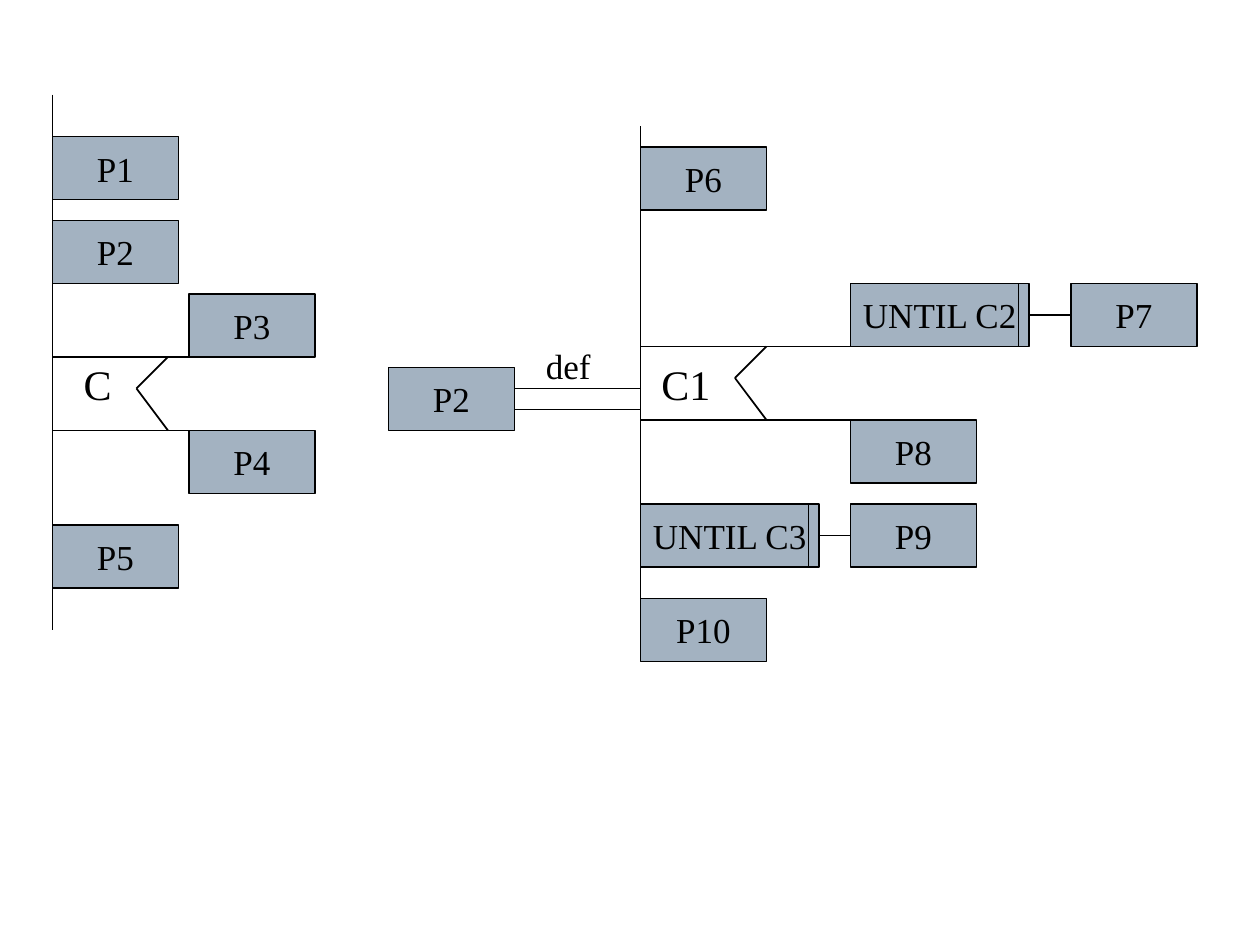
from lxml import etree
from pptx import Presentation
from pptx import util as u
from pptx.dml.color import RGBColor
from pptx.enum import shapes, text
from pptx.oxml import ns

BLACK = RGBColor(0x00, 0x00, 0x00)
STEEL = RGBColor(0xA3, 0xB2, 0xC1)

presentation = Presentation()
presentation.slide_width = u.Inches(10)
presentation.slide_height = u.Inches(7.5)
slide = presentation.slides.add_slide(presentation.slide_layouts[6])

# Square grid of 120 columns by 90 rows
CELL = presentation.slide_width / 120
BOX_WIDTH, UNTIL_WIDTH, BOX_HEIGHT = 12, 17, 6
LEFT_TRUNK, RIGHT_TRUNK = 5, 61
LEFT_BRANCH, RIGHT_BRANCH = 18, 81


def write(shape, words, size=20, align=text.PP_ALIGN.CENTER,
          anchor=text.MSO_ANCHOR.MIDDLE):
    frame = shape.text_frame
    frame.word_wrap = False
    frame.vertical_anchor = anchor
    paragraph = frame.paragraphs[0]
    paragraph.alignment = align
    run = paragraph.add_run()
    run.text = words
    run.font.name = "Times New Roman"
    run.font.size = u.Pt(size)
    run.font.color.rgb = BLACK


def draw_line(*ends):
    line = slide.shapes.add_connector(
        shapes.MSO_CONNECTOR.STRAIGHT, *(round(end * CELL) for end in ends))
    line.line.color.rgb = BLACK
    line.line.width = u.Pt(1)
    etree.SubElement(line._element.spPr, ns.qn("a:effectLst"))
    return line


# Process boxes: label, column, row
boxes = {}
for label, column, row in [
    ("P1", LEFT_TRUNK, 13),
    ("P3", LEFT_BRANCH, 28),
    ("P2", LEFT_TRUNK, 21),
    ("P5", LEFT_TRUNK, 50),
    ("P4", LEFT_BRANCH, 41),
    ("P2", 37, 35),
    ("P6", RIGHT_TRUNK, 14),
    ("P10", RIGHT_TRUNK, 57),
    ("P8", RIGHT_BRANCH, 40),
    ("UNTIL C3", RIGHT_TRUNK, 48),
    ("P7", 102, 27),
    ("UNTIL C2", RIGHT_BRANCH, 27),
    ("P9", RIGHT_BRANCH, 48),
]:
    is_loop = label.startswith("UNTIL")
    width = UNTIL_WIDTH if is_loop else BOX_WIDTH
    box = slide.shapes.add_shape(
        shapes.MSO_SHAPE.RECTANGLE,
        *(round(n * CELL) for n in (column, row, width, BOX_HEIGHT)))
    box.shadow.inherit = False
    box.fill.solid()
    box.fill.fore_color.rgb = STEEL
    box.line.color.rgb = BLACK
    box.line.width = u.Pt(1)
    write(box, label)
    boxes[label] = box
    if is_loop:
        bar = column + width - 1
        draw_line(bar, row, bar, row + BOX_HEIGHT)

# Trunks
draw_line(LEFT_TRUNK, 9, LEFT_TRUNK, 60)
draw_line(RIGHT_TRUNK, 12, RIGHT_TRUNK, 60)

# Choices: two branches and the angle between them
for trunk, branch, top, bottom, angle in [
    (LEFT_TRUNK, LEFT_BRANCH, 34, 41, 16),
    (RIGHT_TRUNK, RIGHT_BRANCH, 33, 40, 73),
]:
    draw_line(trunk, top, branch, top)
    draw_line(trunk, bottom, branch, bottom)
    draw_line(angle, top, angle - 3, top + 3)
    draw_line(angle - 3, top + 3, angle, bottom)

# Double line of the definition
for row in (37, 39):
    draw_line(49, row, RIGHT_TRUNK, row)

# Loops joined to their bodies
for loop, body in [("UNTIL C2", "P7"), ("UNTIL C3", "P9")]:
    link = draw_line(0, 0, 1, 1)
    link.begin_connect(boxes[loop], 3)
    link.end_connect(boxes[body], 1)

# Labels: words, column, row, width, height, size
for words, column, row, width, height, size in [
    ("def", 50.8, 32.2, 6.7, 5.2, 20),
    ("C", 6.8, 33.6, 5, 6, 24),
    ("C1", 61.8, 33.6, 7.1, 6, 24),
]:
    label_box = slide.shapes.add_textbox(
        *(round(n * CELL) for n in (column, row, width, height)))
    write(label_box, words, size=size, align=text.PP_ALIGN.LEFT,
          anchor=text.MSO_ANCHOR.TOP)

presentation.save("out.pptx")
